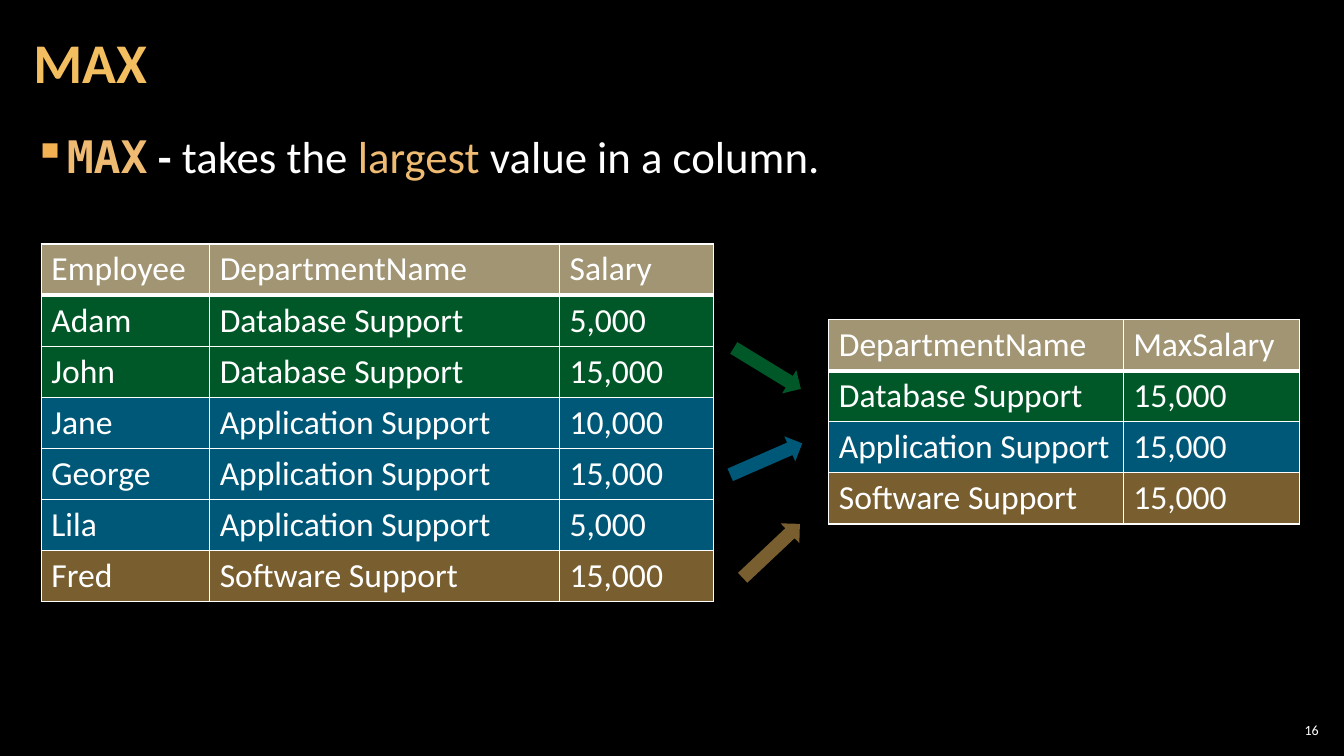
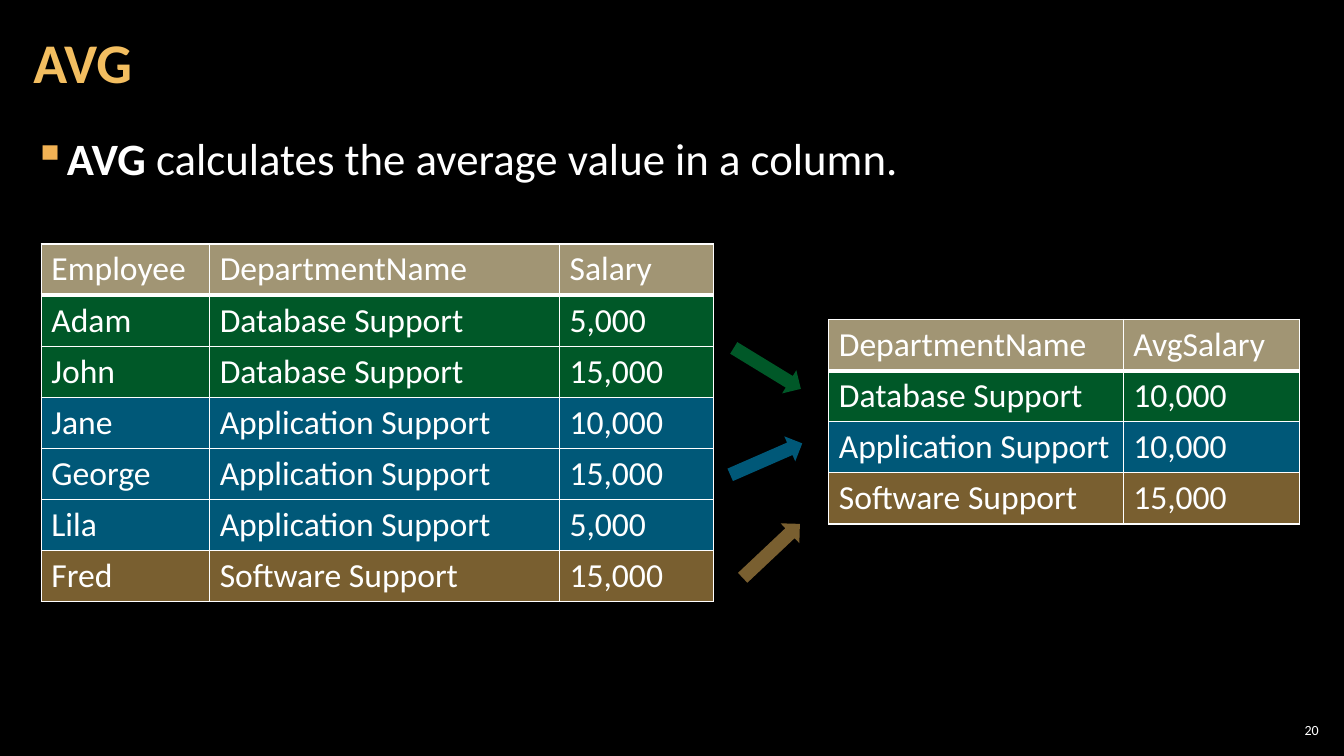
from lxml.etree import SubElement
from pptx import Presentation
from pptx.dml.color import RGBColor
from pptx.enum.shapes import MSO_SHAPE as Shape
from pptx.enum.text import MSO_ANCHOR as Anchor, MSO_AUTO_SIZE as AutoSize, PP_ALIGN as Align
from pptx.oxml.ns import qn
from pptx.util import Inches, Pt

THEME = {
    "ground": "000000", "text": "FFFFFF", "title": "F3BE60", "accent": "EFBB72",
    "bullet": "F2B254", "header": "A19574",
    "Database Support": "00B050", "Application Support": "00B0F0",
    "Software Support": "F3BE60",
    "font": "Calibri", "code_font": "DejaVu Sans Mono",
    "title_size": 40, "body_size": 32, "table_size": 24, "number_size": 10,
    "opacity": 50, "border": 1, "header_border": 3,
}
WIDTH, HEIGHT = 13.33, 7.5
ROW_HEIGHT = 0.5

EMPLOYEES = [
    ("Employee", "DepartmentName", "Salary"),
    ("Adam", "Database Support", "5,000"),
    ("John", "Database Support", "15,000"),
    ("Jane", "Application Support", "10,000"),
    ("George", "Application Support", "15,000"),
    ("Lila", "Application Support", "5,000"),
    ("Fred", "Software Support", "15,000"),
]
DEPARTMENTS = ["Database Support", "Application Support", "Software Support"]
# Left, top and rotation of the arrow of each department
ARROWS = [(7.22, 3.52, 31.4), (7.21, 4.42, 336.4), (7.26, 5.33, 316.7)]
ARROW_SIZE = (0.78, 0.27)

CODE = {"name": THEME["code_font"], "color": THEME["accent"], "bold": True}
BOLD = {"bold": True}
PAGES = [
    {"title": "MAX", "number": "16", "body_top": 1.24,
     "body": [("MAX", CODE), (" -", BOLD), (" takes the ", {}),
              ("largest", {"color": THEME["accent"]}), (" value in a column.", {})],
     "result": "MaxSalary", "values": ["15,000", "15,000", "15,000"]},
    {"title": "AVG", "number": "20", "body_top": 1.26,
     "body": [("AVG", BOLD), (" calculates the average value in a column.", {})],
     "result": "AvgSalary", "values": ["10,000", "10,000", "15,000"]},
]


def add_span(para, text, size, name=THEME["font"], color=THEME["text"], bold=False):
    span = para.add_run()
    span.text = text
    for key, value in {"size": Pt(size), "name": name, "bold": bold}.items():
        setattr(span.font, key, value)
    span.font.color.rgb = RGBColor.from_string(color)


def format_frame(box, side, anchor):
    """Set the shared frame format and return the first paragraph."""
    frame = box.text_frame
    values = {"word_wrap": True, "auto_size": AutoSize.NONE, "vertical_anchor": anchor,
              "margin_left": Inches(side), "margin_right": Inches(side),
              "margin_top": Inches(0.04), "margin_bottom": Inches(0.04)}
    for key, value in values.items():
        setattr(frame, key, value)
    return frame.paragraphs[0]


def paint(fill, properties, color, opacity=100):
    fill.solid()
    fill.fore_color.rgb = RGBColor.from_string(color)
    if opacity < 100:
        SubElement(properties.find(qn("a:solidFill"))[0], qn("a:alpha"),
                   val=str(opacity * 1000))


def add_title(page, text):
    title = page.shapes.title
    place = {"left": 0.21, "top": 0.04, "width": 10.47, "height": 1.21}
    for key, value in place.items():
        setattr(title, key, Inches(value))
    para = format_frame(title, 0.12, Anchor.MIDDLE)
    para.alignment, para.line_spacing = Align.LEFT, 0.9
    add_span(para, text, THEME["title_size"], color=THEME["title"], bold=True)


def add_body(page, top, spans):
    box = page.shapes.add_textbox(*map(Inches, (0.21, top, 12.91, 6.09)))
    para = format_frame(box, 0.12, Anchor.TOP)
    para.space_before = para.space_after = Pt(6)
    properties = para._p.get_or_add_pPr()
    properties.set("marL", str(Inches(0.33)))
    properties.set("indent", str(-Inches(0.33)))
    bullet_color = SubElement(properties, qn("a:buClr"))
    SubElement(bullet_color, qn("a:srgbClr"), val=THEME["bullet"])
    SubElement(properties, qn("a:buChar"), char="▪")
    for text, style in spans:
        add_span(para, text, THEME["body_size"], **style)


def add_number(page, number):
    box = page.shapes.add_textbox(*map(Inches, (WIDTH - 0.68, HEIGHT - 0.36, 0.47, 0.21)))
    para = format_frame(box, 0.04, Anchor.MIDDLE)
    para.alignment = Align.RIGHT
    add_span(para, number, THEME["number_size"])


def add_borders(properties, bottom):
    sides = dict.fromkeys(("a:lnL", "a:lnR", "a:lnT"), THEME["border"]) | {"a:lnB": bottom}
    for side, width in sides.items():
        line = SubElement(properties, qn(side), w=str(Pt(width)))
        SubElement(SubElement(line, qn("a:solidFill")), qn("a:srgbClr"), val=THEME["text"])


def add_grid(page, left, top, widths, rows):
    """Add a table whose rows take the colour of the department they name."""
    size = (sum(widths), ROW_HEIGHT * len(rows))
    table = page.shapes.add_table(len(rows), len(widths),
                                  *map(Inches, (left, top, *size))).table
    table.first_row = table.horz_banding = False
    for column, width in zip(table.columns, widths):
        column.width = Inches(width)
    for r, row in enumerate(rows):
        department = next((text for text in row if text in DEPARTMENTS), None)
        opacity = THEME["opacity"] if department else 100
        bottom = THEME["border" if department else "header_border"]
        for c, text in enumerate(row):
            cell = table.cell(r, c)
            properties = cell._tc.get_or_add_tcPr()
            add_borders(properties, bottom)
            paint(cell.fill, properties, THEME[department or "header"], opacity)
            add_span(cell.text_frame.paragraphs[0], text, THEME["table_size"])


def add_arrows(page):
    for department, (left, top, rotation) in zip(DEPARTMENTS, ARROWS):
        arrow = page.shapes.add_shape(Shape.RIGHT_ARROW,
                                      *map(Inches, (left, top, *ARROW_SIZE)))
        arrow.rotation = rotation
        arrow.shadow.inherit = False
        arrow.line.fill.background()
        paint(arrow.fill, arrow._element.spPr, THEME[department], THEME["opacity"])


def main():
    deck = Presentation()
    deck.slide_width, deck.slide_height = Inches(WIDTH), Inches(HEIGHT)
    ground = deck.slide_master.background.fill
    ground.solid()
    ground.fore_color.rgb = RGBColor.from_string(THEME["ground"])
    title_only = deck.slide_layouts[5]
    for content in PAGES:
        page = deck.slides.add_slide(title_only)
        add_title(page, content["title"])
        add_body(page, content["body_top"], content["body"])
        add_number(page, content["number"])
        add_grid(page, 0.41, 2.42, (1.67, 3.47, 1.53), EMPLOYEES)
        summary = [("DepartmentName", content["result"]),
                   *zip(DEPARTMENTS, content["values"])]
        add_grid(page, 8.22, 3.17, (2.92, 1.75), summary)
        add_arrows(page)
    deck.save("out.pptx")


if __name__ == "__main__":
    main()
